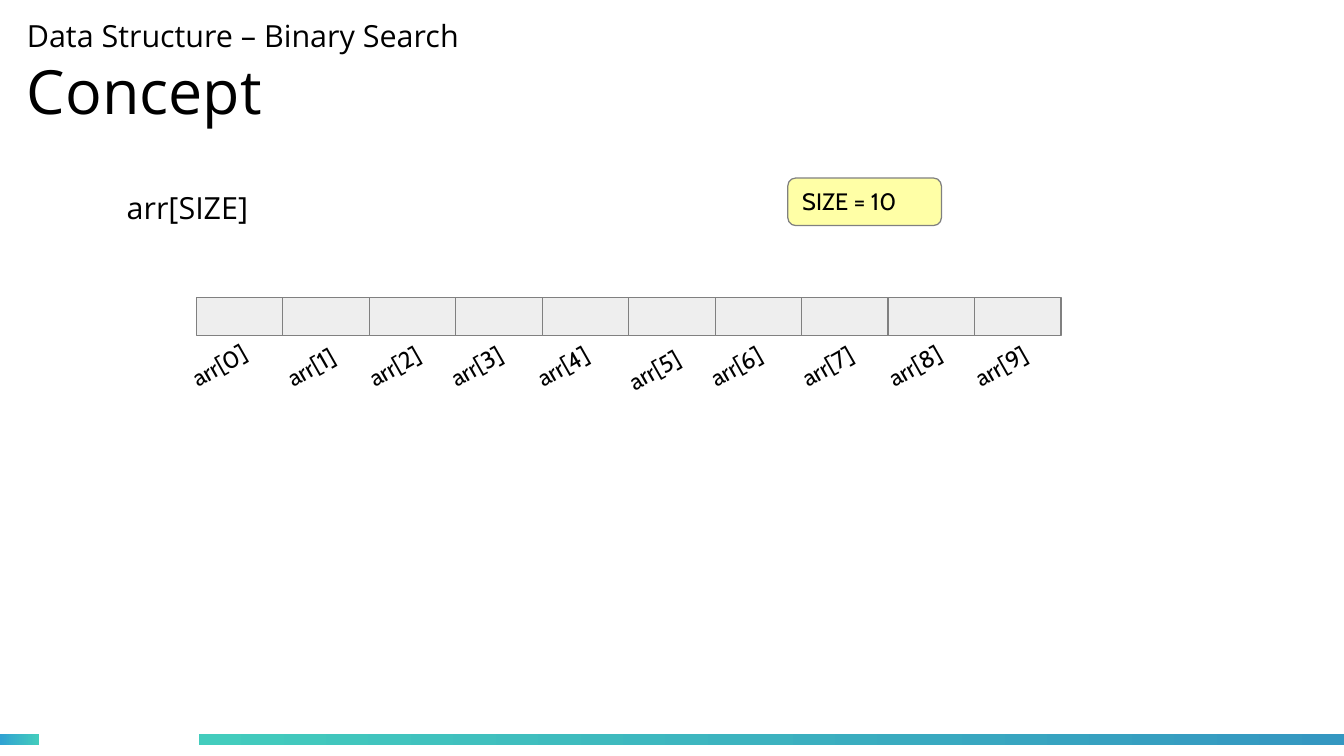
from pptx import Presentation, util as u
from pptx.dml import color
from pptx.enum import shapes, text

SANS = {"name": "Open Sans", "size": u.Pt(18)}
CABIN = {"name": "Cabin", "size": u.Pt(14)}


def hue(code):
    return color.RGBColor.from_string(code)


class Deck:
    """Holds the style and the current slide, and adds each kind of element."""

    ink, edge = "000000", "808080"

    def __init__(self, wide, high):
        self.show = Presentation()
        self.show.slide_width = u.Inches(wide)
        self.show.slide_height = u.Inches(high)
        self.slide = self.show.slides.add_slide(self.show.slide_layouts[5])

    def style(self, font, form):
        for key, val in form.items():
            setattr(font, key, val)
        font.color.rgb = hue(self.ink)

    def title(self, lines, box):
        head = self.slide.shapes.title
        for key, val in zip(("left", "top", "width", "height"), box):
            setattr(head, key, u.Inches(val))
        frame = head.text_frame
        form = {"margin_left": 0, "margin_top": 0, "margin_right": 0,
                "margin_bottom": 0, "word_wrap": True,
                "auto_size": text.MSO_AUTO_SIZE.NONE,
                "vertical_anchor": text.MSO_ANCHOR.MIDDLE}
        for key, val in form.items():
            setattr(frame, key, val)
        para = frame.paragraphs[0]
        para.alignment = text.PP_ALIGN.LEFT
        for num, (words, size) in enumerate(lines):
            if num:
                para.add_line_break()
            run = para.add_run()
            run.text = words
            self.style(run.font, {**SANS, "size": u.Pt(size)})

    def label(self, words, box, form, turn=0, wrap=True):
        note = self.slide.shapes.add_textbox(*map(u.Inches, box))
        note.rotation = turn
        note.text_frame.word_wrap = wrap
        para = note.text_frame.paragraphs[0]
        run = para.add_run()
        run.text = words
        self.style(run.font, form)

    def shape(self, kind, box):
        item = self.slide.shapes.add_shape(kind, *map(u.Inches, box))
        item.shadow.inherit = False
        return item

    def block(self, box, fill, kind=shapes.MSO_SHAPE.RECTANGLE):
        item = self.shape(kind, box)
        item.fill.solid()
        item.fill.fore_color.rgb = hue(fill)
        item.line.color.rgb = hue(self.edge)
        item.line.width = 0

    def strip(self, box, tones):
        item = self.shape(shapes.MSO_SHAPE.RECTANGLE, box)
        item.line.fill.background()
        item.fill.gradient()
        item.fill.gradient_angle = 0
        for stop, tone in zip(item.fill.gradient_stops, tones):
            stop.color.rgb = hue(tone)


def main():
    deck = Deck(11.02, 6.2)
    deck.strip((0, 6.02, 0.32, 0.09), ("30A2D2", "43CCBD"))
    deck.strip((1.63, 6.02, 9.39, 0.09), ("43CCBD", "3497C1"))
    deck.title([("Data Structure – Binary Search", 18), ("Concept", 36)],
               (0.22, 0.08, 7.68, 1.02))
    deck.label("arr[SIZE]", (0.94, 1.5, 1.42, 0.44), SANS, wrap=False)
    deck.block((6.46, 1.46, 1.26, 0.39), "FFFFA6",
               shapes.MSO_SHAPE.ROUNDED_RECTANGLE)
    deck.label("SIZE = 10", (6.48, 1.48, 1.2, 0.36), CABIN)

    lefts = (1.46, 2.24, 2.91, 3.58, 4.29, 5.04, 5.71, 6.46, 7.17, 7.88)
    pitch = 0.709
    for num, left in enumerate(lefts):
        deck.block((1.61 + num * pitch, 2.44, pitch, 0.31), "EEEEEE")
        top = 2.81 if num == 5 else 2.78
        deck.label(f"arr[{num}]", (left, top, 0.86, 0.39), CABIN, turn=330.4)
    deck.show.save("out.pptx")


if __name__ == "__main__":
    main()
